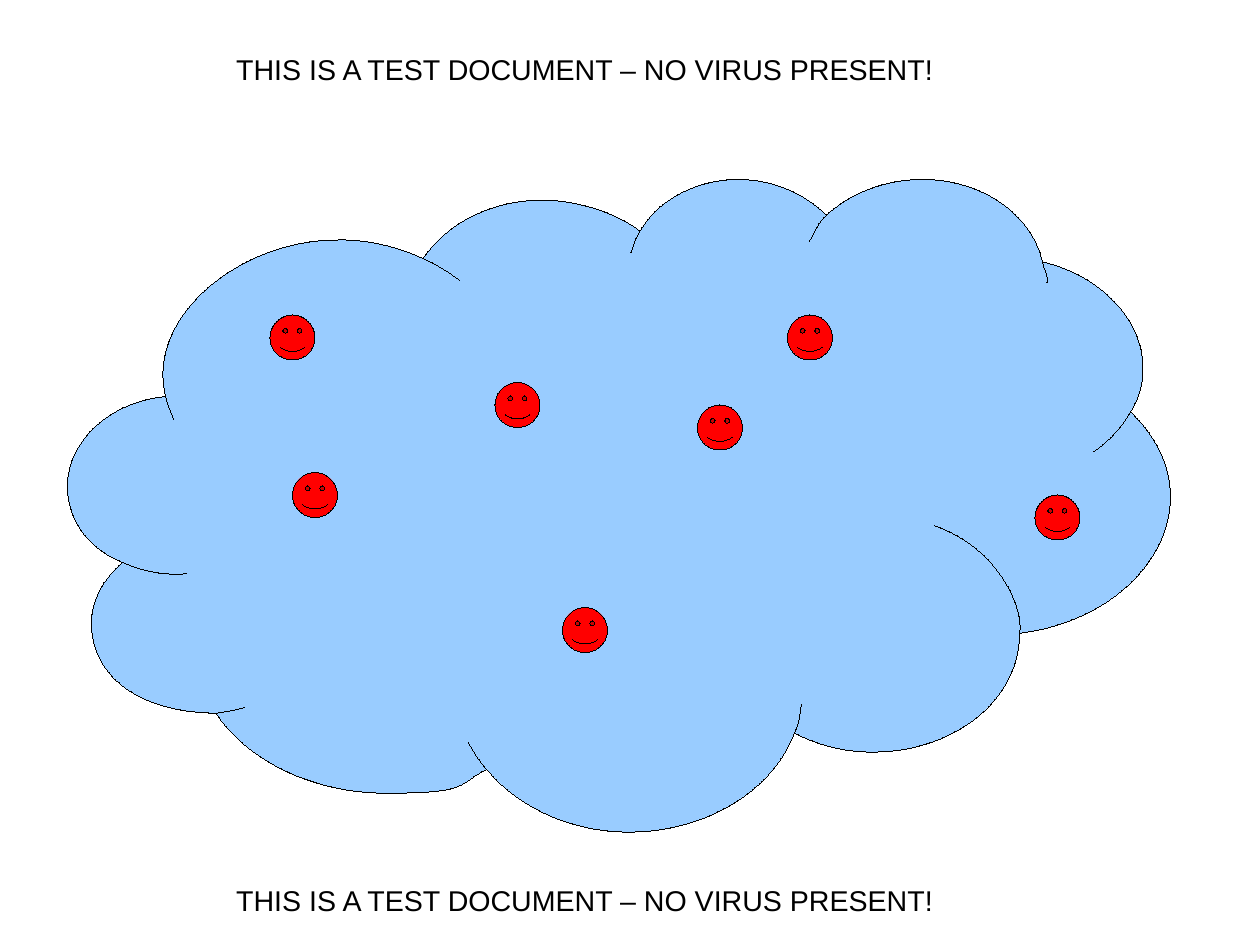
import lxml.etree
import pptx
import pptx.dml.color
import pptx.enum.shapes
import pptx.enum.text
import pptx.oxml.ns
import pptx.util

Cm = pptx.util.Cm
qn = pptx.oxml.ns.qn
WARNING = "THIS IS A TEST DOCUMENT – NO VIRUS PRESENT!"

# Cloud points in hundredths of an inch: a start, then (control, control, end)
CLOUD_UNIT = Cm(2.54) / 100
CLOUD_LEFT, CLOUD_TOP, CLOUD_WIDTH, CLOUD_HEIGHT = 59, 157, 965, 571
CLOUD_START = (145, 347)
CLOUD_CURVES = [
    ((127, 276), (211, 210), (294, 210)),
    ((321, 209), (348, 216), (370, 226)),
    ((392, 194), (431, 175), (476, 175)),
    ((506, 176), (537, 185), (560, 202)),
    ((576, 174), (610, 157), (646, 157)),
    ((677, 157), (705, 170), (723, 188)),
    ((744, 169), (774, 157), (807, 157)),
    ((859, 157), (903, 187), (912, 229)),
    ((963, 241), (1000, 279), (1000, 322)),
    ((1000, 335), (997, 348), (989, 360)),
    ((1011, 381), (1024, 407), (1024, 434)),
    ((1024, 494), (966, 545), (892, 554)),
    ((892, 612), (835, 658), (763, 658)),
    ((739, 658), (715, 652), (695, 641)),
    ((676, 692), (617, 728), (550, 728)),
    ((501, 728), (454, 707), (426, 673)),
    ((399, 686), (413, 694), (338, 694)),
    ((276, 694), (218, 667), (189, 624)),
    ((117, 623), (80, 588), (80, 545)),
    ((80, 525), (90, 507), (107, 492)),
    ((76, 479), (59, 454), (59, 425)),
    ((59, 385), (97, 351), CLOUD_START),
]
CREASES = [
    (CLOUD_START, (146, 353), (150, 361), (152, 367)),
    ((370, 226), (381, 231), (393, 238), (402, 245)),
    ((560, 202), (556, 208), (554, 215), (552, 221)),
    ((723, 188), (716, 194), (713, 203), (708, 211)),
    ((912, 229), (913, 234), (918, 244), (916, 247)),
    ((989, 360), (982, 373), (971, 385), (957, 395)),
    ((892, 554), (896, 533), (875, 480), (818, 460)),
    ((695, 641), (699, 633), (700, 625), (701, 616)),
    ((426, 673), (419, 666), (415, 658), (410, 650)),
    ((189, 624), (197, 623), (206, 621), (214, 619)),
    ((107, 492), (122, 498), (139, 504), (163, 502)),
]

# Left and top of each face in cm
FACES = [(6, 7), (11, 8.5), (17.5, 7), (6.5, 10.5),
         (15.5, 9), (12.5, 13.5), (23, 11)]


def color(hex_string):
    return pptx.dml.color.RGBColor.from_string(hex_string)


def style(sp, fill):
    """Solid fill with a black hairline."""
    sp.shadow.inherit = False
    sp.fill.solid()
    sp.fill.fore_color.rgb = color(fill)
    sp.line.color.rgb = color("000000")
    sp.line.width = pptx.util.Emu(1)


def add_command(path, tag, points):
    command = lxml.etree.SubElement(path, qn(tag))
    for x, y in points:
        lxml.etree.SubElement(command, qn("a:pt"), x=str(x - CLOUD_LEFT),
                              y=str(y - CLOUD_TOP))


def add_curved_path(paths, start, curves, closed=False):
    """A closed filled path, or an open one without fill."""
    path = lxml.etree.SubElement(paths, qn("a:path"), w=str(CLOUD_WIDTH),
                                 h=str(CLOUD_HEIGHT))
    add_command(path, "a:moveTo", [start])
    for curve in curves:
        add_command(path, "a:cubicBezTo", curve)
    if closed:
        lxml.etree.SubElement(path, qn("a:close"))
    else:
        path.set("fill", "none")


def add_cloud(slide):
    builder = slide.shapes.build_freeform(*CLOUD_START, scale=CLOUD_UNIT)
    builder.add_line_segments([end for _, _, end in CLOUD_CURVES])
    sp = builder.convert_to_shape()
    style(sp, "99CCFF")

    # Curves in place of the straight segments
    paths = sp._element.find(".//" + qn("a:pathLst"))
    paths.remove(paths[0])
    add_curved_path(paths, CLOUD_START, CLOUD_CURVES, closed=True)
    for start, *curve in CREASES:
        add_curved_path(paths, start, [curve])


def add_face(slide, left, top):
    smiley = pptx.enum.shapes.MSO_SHAPE.SMILEY_FACE
    sp = slide.shapes.add_shape(smiley, Cm(left), Cm(top), Cm(1), Cm(1))
    sp.adjustments[0] = 0.05
    style(sp, "FF0000")


def add_warning(slide, top):
    sp = slide.shapes.add_textbox(Cm(5), Cm(top), Cm(16), Cm(0.96))
    tf = sp.text_frame
    tf.word_wrap = False
    tf.auto_size = pptx.enum.text.MSO_AUTO_SIZE.SHAPE_TO_FIT_TEXT
    p = tf.paragraphs[0]
    p.text = WARNING
    p.font.name = "Arial"
    p.font.size = pptx.util.Pt(18)
    p.font.color.rgb = color("000000")


def main():
    prs = pptx.Presentation()
    prs.slide_width, prs.slide_height = Cm(28), Cm(21)
    slide = prs.slides.add_slide(prs.slide_layouts[6])

    # Warnings above and below the cloud
    for top in (1.04, 19.5):
        add_warning(slide, top)

    # Cloud with its inner creases
    add_cloud(slide)

    # Red faces
    for left, top in FACES:
        add_face(slide, left, top)

    prs.save("out.pptx")


if __name__ == "__main__":
    main()
